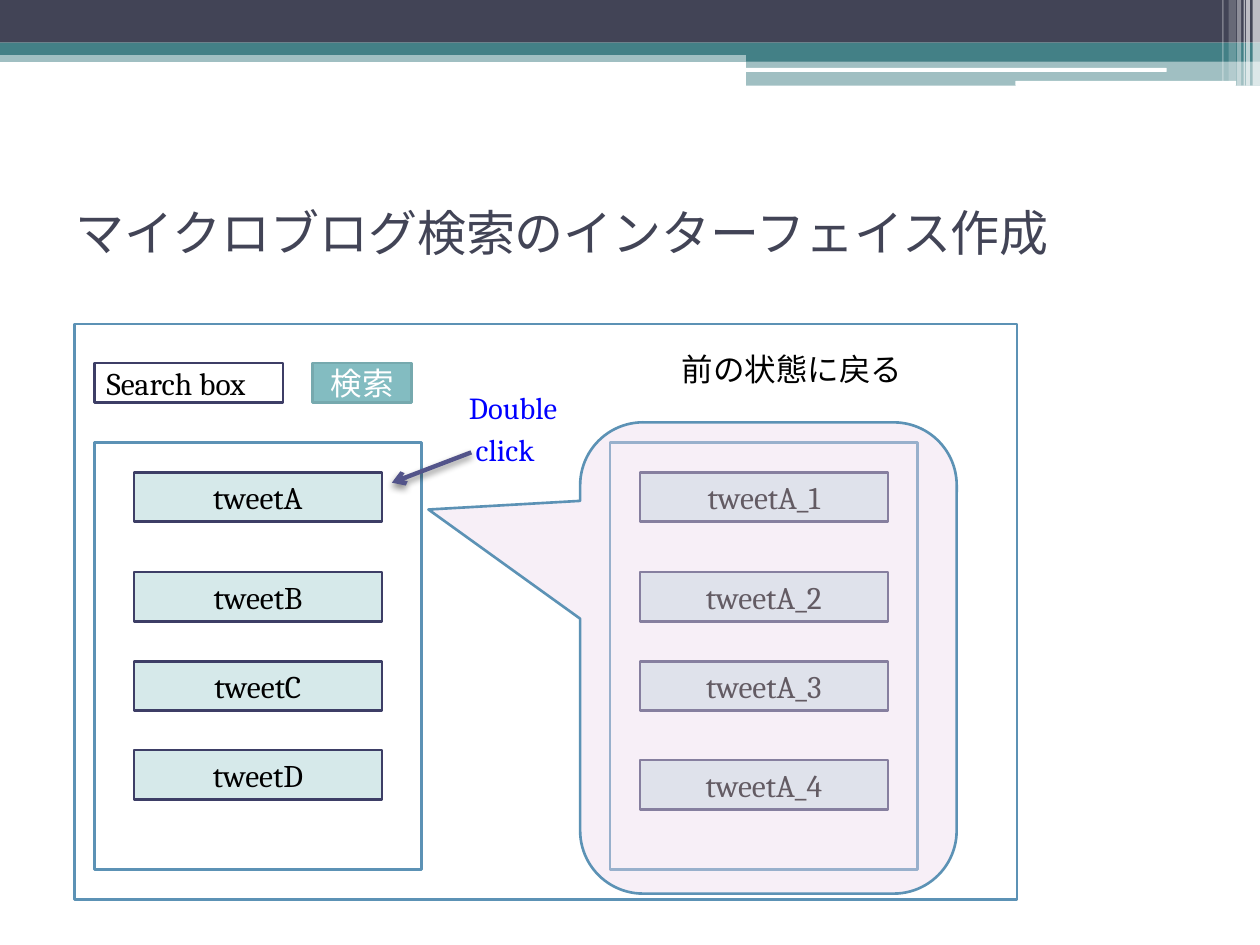
"""Builds a slide that sketches the interface of a microblog search."""
import pptx
import pptx.util
import pptx.dml.color
import pptx.enum.shapes
import pptx.enum.text
import pptx.oxml
import pptx.oxml.ns

RGBColor = pptx.dml.color.RGBColor
Shape = pptx.enum.shapes.MSO_SHAPE
Align = pptx.enum.text.PP_ALIGN
Anchor = pptx.enum.text.MSO_ANCHOR
Cm = pptx.util.Cm
Pt = pptx.util.Pt

WHITE = RGBColor(0xFF, 0xFF, 0xFF)
BLACK = RGBColor(0x00, 0x00, 0x00)
SLATE = RGBColor(0x42, 0x44, 0x56)
TEAL = RGBColor(0x43, 0x80, 0x86)
LIGHT_TEAL = RGBColor(0x83, 0xBC, 0xC1)
BUTTON_EDGE = RGBColor(0x76, 0xA9, 0xAE)
PALE_TEAL = RGBColor(0xD6, 0xE9, 0xEA)
STEEL = RGBColor(0x5C, 0x92, 0xB5)
NAVY = RGBColor(0x3D, 0x3E, 0x66)
INDIGO = RGBColor(0x53, 0x54, 0x8A)
PINK = RGBColor(0xED, 0xDA, 0xEE)
BLUE = RGBColor(0x00, 0x00, 0xFF)

BANDS = [
    (Shape.RECTANGLE, (0, 1.02, 25.4, 0.23), TEAL, 50),
    (Shape.RECTANGLE, (0, 0, 25.4, 0.86), SLATE, 100),
    (Shape.RECTANGLE, (0, 0.86, 25.4, 0.25), TEAL, 100),
    (Shape.RECTANGLE, (15.04, 0.99, 10.36, 0.25), TEAL, 100),
    (Shape.RECTANGLE, (15.04, 1.22, 10.36, 0.51), TEAL, 50),
    (Shape.ROUNDED_RECTANGLE, (15.01, 1.37, 8.51, 0.08), WHITE, 100),
    (Shape.ROUNDED_RECTANGLE, (20.47, 1.63, 4.45, 0.1), WHITE, 100),
]
STRIPES = [
    (25.25, 0.15, 1.73, 65), (25.12, 0.08, 1.73, 65), (25.07, 0.03, 1.73, 60),
    (24.94, 0.08, 1.73, 40), (24.77, 0.15, 1.63, 20), (24.64, 0.03, 1.63, 30),
]
PANELS = [
    ((1.9, 8.92, 6.6, 8.61), 2.7, ["tweetA", "tweetB", "tweetC", "tweetD"],
     [9.52, 11.53, 13.33, 15.12]),
    ((12.3, 8.92, 6.2, 8.61), 12.9, ["tweetA_1", "tweetA_2", "tweetA_3", "tweetA_4"],
     [9.52, 11.53, 13.33, 15.32]),
]


def apply(target, values):
    """Set each named attribute of the target."""
    for name, value in values.items():
        setattr(target, name, value)


class Sketch:
    """Holds the text style and the current slide."""

    font = {"name": "Cambria", "size": Pt(18)}

    def __init__(self, slide):
        self.slide = slide

    def fill_text(self, box, lines, color=BLACK, align=Align.LEFT, anchor=Anchor.MIDDLE, **font):
        frame = box.text_frame
        apply(frame, {"word_wrap": True, "vertical_anchor": anchor,
                      "auto_size": pptx.enum.text.MSO_AUTO_SIZE.NONE})
        for index, line in enumerate(lines):
            para = frame.add_paragraph() if index else frame.paragraphs[0]
            para.alignment = align
            span = para.add_run()
            span.text = line
            apply(span.font, {**self.font, **font})
            span.font.color.rgb = color

    def shape(self, kind, place, fill=None, line=None, opacity=100, parent=None):
        box = (parent or self.slide).shapes.add_shape(kind, *map(Cm, place))
        box.shadow.inherit = False
        if fill is None:
            box.fill.background()
        else:
            box.fill.solid()
            box.fill.fore_color.rgb = fill
            if opacity < 100:
                color = box._element.spPr.find(".//" + pptx.oxml.ns.qn("a:srgbClr"))
                alpha = color.makeelement(pptx.oxml.ns.qn("a:alpha"), {"val": str(opacity * 1000)})
                color.append(alpha)
        if line is None:
            box.line.fill.background()
        else:
            box.line.color.rgb = line
            box.line.width = Pt(1.5)
        return box

    def label(self, place, text, color=BLACK, align=Align.CENTER, **look):
        box = self.shape(Shape.RECTANGLE, place, **look)
        self.fill_text(box, [text], color, align)

    def placeholder(self, index, place, lines, **look):
        box = self.slide.placeholders[index]
        apply(box, dict(zip(("left", "top", "width", "height"), map(Cm, place))))
        self.fill_text(box, lines, **look)
        return box

    def indent(self, box):
        for para in box.text_frame.paragraphs:
            para.space_before = Pt(3)
            properties = para._p.get_or_add_pPr()
            properties.set("marL", str(Cm(1.02)))
            properties.set("indent", str(Cm(-0.71)))
            properties.append(properties.makeelement(pptx.oxml.ns.qn("a:buNone"), {}))

    def text(self, place, text):
        box = self.slide.shapes.add_textbox(*map(Cm, place))
        self.fill_text(box, [text], anchor=Anchor.TOP)

    def panel(self, place, left, names, tops):
        group = self.slide.shapes.add_group_shape()
        self.shape(Shape.RECTANGLE, place, WHITE, STEEL, parent=group)
        for name, top in zip(names, tops):
            self.label((left, top, 5, 1), name, fill=PALE_TEAL, line=NAVY, parent=group)

    def callout(self, place, adjustments):
        box = self.shape(Shape.ROUNDED_RECTANGULAR_CALLOUT, place, PINK, STEEL, 42)
        box.rotation = 90
        for index, value in enumerate(adjustments):
            box.adjustments[index] = value

    def arrow(self, *ends):
        straight = pptx.enum.shapes.MSO_CONNECTOR.STRAIGHT
        arrow = self.slide.shapes.add_connector(straight, *map(Cm, ends))
        arrow.line.color.rgb = INDIGO
        arrow.line.width = Pt(2.5)
        line = arrow._element.spPr.find(pptx.oxml.ns.qn("a:ln"))
        line.append(line.makeelement(pptx.oxml.ns.qn("a:tailEnd"), {"type": "arrow"}))
        arrow._element.spPr.append(pptx.oxml.parse_xml(
            f'<a:effectLst {pptx.oxml.ns.nsdecls("a")}>'
            f'<a:outerShdw blurRad="{Pt(4)}" dist="{Pt(2)}" dir="5400000" rotWithShape="0">'
            '<a:srgbClr val="000000"><a:alpha val="45000"/></a:srgbClr>'
            '</a:outerShdw></a:effectLst>'))


def main():
    deck = pptx.Presentation()
    apply(deck, {"slide_width": Cm(25.4), "slide_height": Cm(19.05)})
    sketch = Sketch(deck.slides.add_slide(deck.slide_layouts[1]))

    for kind, place, color, opacity in BANDS:
        sketch.shape(kind, place, color, opacity=opacity)
    for left, width, height, opacity in STRIPES:
        sketch.shape(Shape.RECTANGLE, (left, 0, width, height), WHITE, opacity=opacity)

    sketch.placeholder(0, (1.27, 3.18, 22.86, 2.97), ["マイクロブログ検索のインターフェイス作成"],
                       color=SLATE, name="Noto Sans", size=Pt(28))
    hint = sketch.placeholder(1, (8.89, 7.72, 3.61, 1.6), ["Double", " click"],
                              color=BLUE, anchor=Anchor.TOP, size=Pt(17.5))
    sketch.indent(hint)

    sketch.shape(Shape.RECTANGLE, (1.5, 6.53, 19, 11.61), line=STEEL)
    sketch.label((1.9, 7.32, 3.81, 0.79), "Search box", align=Align.LEFT, line=NAVY)
    sketch.label((6.3, 7.32, 2, 0.79), "検索", WHITE, fill=LIGHT_TEAL, line=BUTTON_EDGE)
    for panel in PANELS:
        sketch.panel(*panel)
    sketch.callout((10.74, 9.47, 9.5, 7.59), (-0.315, 0.903, 0.167))
    sketch.arrow(9.5, 9.12, 7.9, 9.73)
    sketch.text((13.49, 6.93, 5.99, 1.02), "前の状態に戻る")
    deck.save("out.pptx")


if __name__ == "__main__":
    main()
